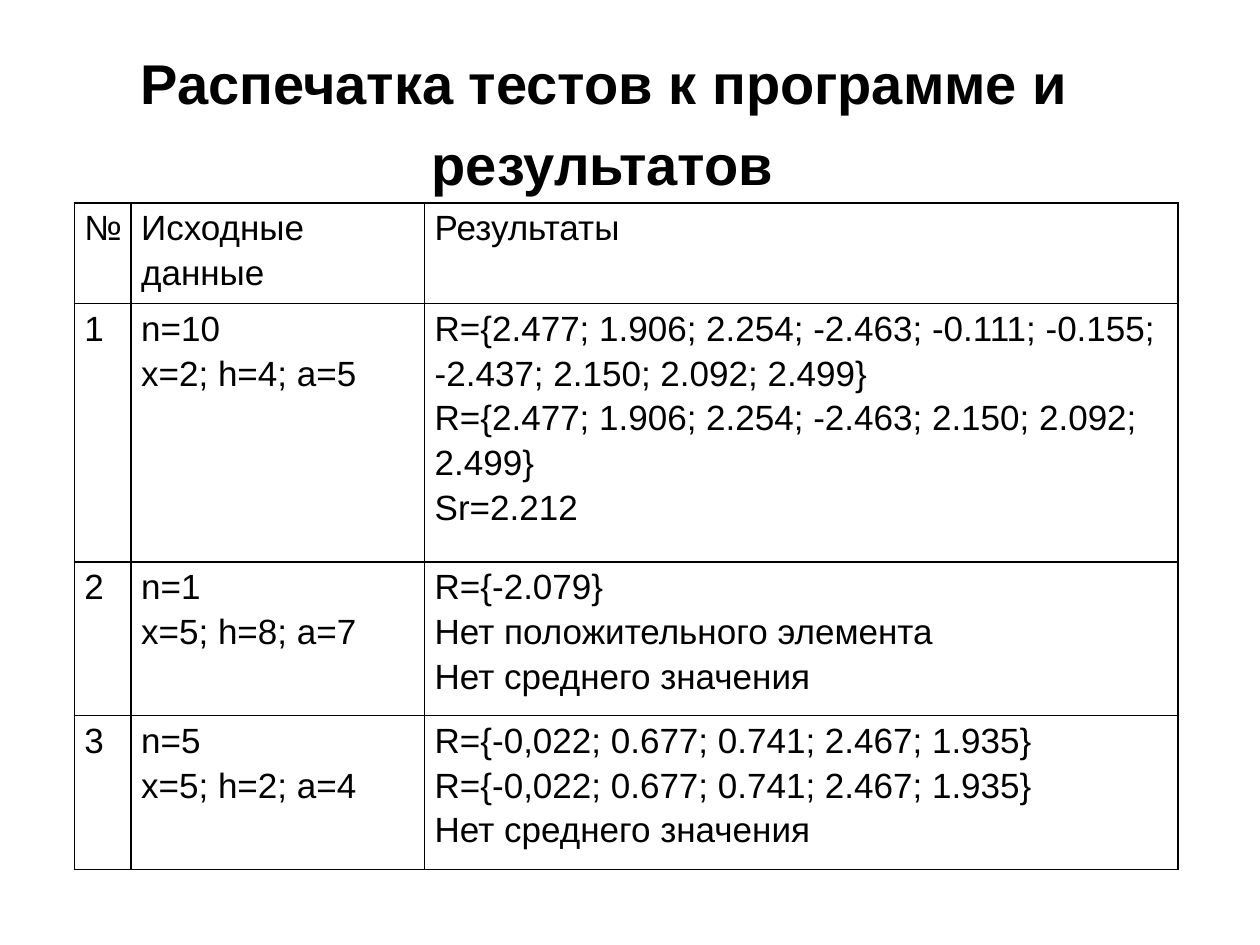
from lxml import etree
from pptx import Presentation
from pptx.dml.color import RGBColor
from pptx.enum import text
from pptx.oxml import ns
from pptx.util import Inches, Pt

BLACK = RGBColor(0, 0, 0)
FONT = "Arial"

COLUMN_WIDTHS = (0.45, 2.33, 5.98)
ROW_HEIGHTS = (0.8, 2.05, 1.22, 1.22)
TEST_ROWS = (
    ("№", "Исходные данные", "Результаты"),
    ("1", "n=10\nx=2; h=4; a=5",
     "R={2.477; 1.906; 2.254; -2.463; -0.111; -0.155; "
     "-2.437; 2.150; 2.092; 2.499}\n"
     "R={2.477; 1.906; 2.254; -2.463; 2.150; 2.092; 2.499}\n"
     "Sr=2.212"),
    ("2", "n=1\nx=5; h=8; a=7",
     "R={-2.079}\nНет положительного элемента\nНет среднего значения"),
    ("3", "n=5\nx=5; h=2; a=4",
     "R={-0,022; 0.677; 0.741; 2.467; 1.935}\n"
     "R={-0,022; 0.677; 0.741; 2.467; 1.935}\n"
     "Нет среднего значения"),
)


def style_font(font, size, bold=False):
    font.name = FONT
    font.size = Pt(size)
    font.bold = bold
    font.color.rgb = BLACK


def place_title(slide, left, top, width, height):
    title = slide.shapes.title
    title.left, title.top = Inches(left), Inches(top)
    title.width, title.height = Inches(width), Inches(height)
    tf = title.text_frame
    tf.word_wrap = True
    tf.auto_size = text.MSO_AUTO_SIZE.NONE
    tf.vertical_anchor = text.MSO_ANCHOR.MIDDLE
    p = tf.paragraphs[0]
    p.alignment = text.PP_ALIGN.CENTER
    p.line_spacing = 1.0
    p.space_before = Pt(0)
    p.text = "Распечатка тестов к программе и \vрезультатов"
    for r in p.runs:
        style_font(r.font, 32, bold=True)
    # The larger closing space sets the height of the second line
    r = p.add_run()
    r.text = " "
    style_font(r.font, 40)


def add_borders(cell):
    props = cell._tc.get_or_add_tcPr()
    for position, side in enumerate(("lnL", "lnR", "lnT", "lnB")):
        line = etree.Element(ns.qn(f"a:{side}"), w=str(Pt(1)))
        fill = etree.SubElement(line, ns.qn("a:solidFill"))
        etree.SubElement(fill, ns.qn("a:srgbClr"), val=str(BLACK))
        props.insert(position, line)


def fill_cell(cell, content):
    cell.fill.background()
    cell.margin_left = cell.margin_right = Inches(0.08)
    cell.margin_top = cell.margin_bottom = 0
    cell.text = content
    for p in cell.text_frame.paragraphs:
        p.line_spacing = 1.15
        style_font(p.font, 20)
    add_borders(cell)


def place_test_table(slide, left, top, width, height):
    table = slide.shapes.add_table(
        len(TEST_ROWS), len(COLUMN_WIDTHS),
        Inches(left), Inches(top), Inches(width), Inches(height)).table
    table.first_row = table.horz_banding = False
    for column, column_width in zip(table.columns, COLUMN_WIDTHS):
        column.width = Inches(column_width)
    for row, row_height, contents in zip(table.rows, ROW_HEIGHTS, TEST_ROWS):
        row.height = Inches(row_height)
        for cell, content in zip(row.cells, contents):
            fill_cell(cell, content)


def main():
    prs = Presentation()
    prs.slide_width, prs.slide_height = Inches(10), Inches(7.5)
    s = prs.slides.add_slide(prs.slide_layouts.get_by_name("Title Only"))
    place_title(s, 0.36, 0.36, 9, 1.25)
    place_test_table(s, 0.59, 1.61, sum(COLUMN_WIDTHS), sum(ROW_HEIGHTS))
    prs.save("out.pptx")


if __name__ == "__main__":
    main()
